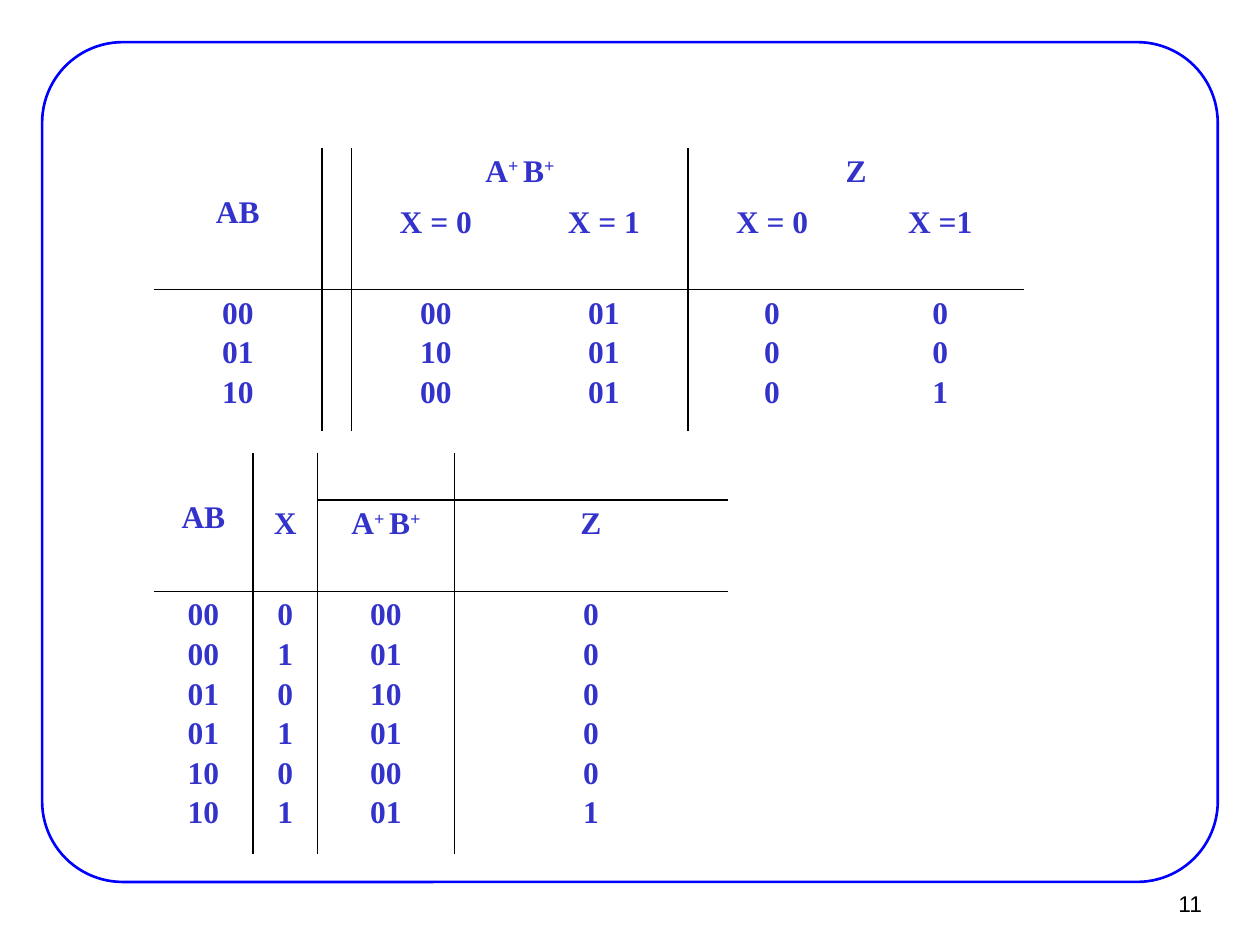
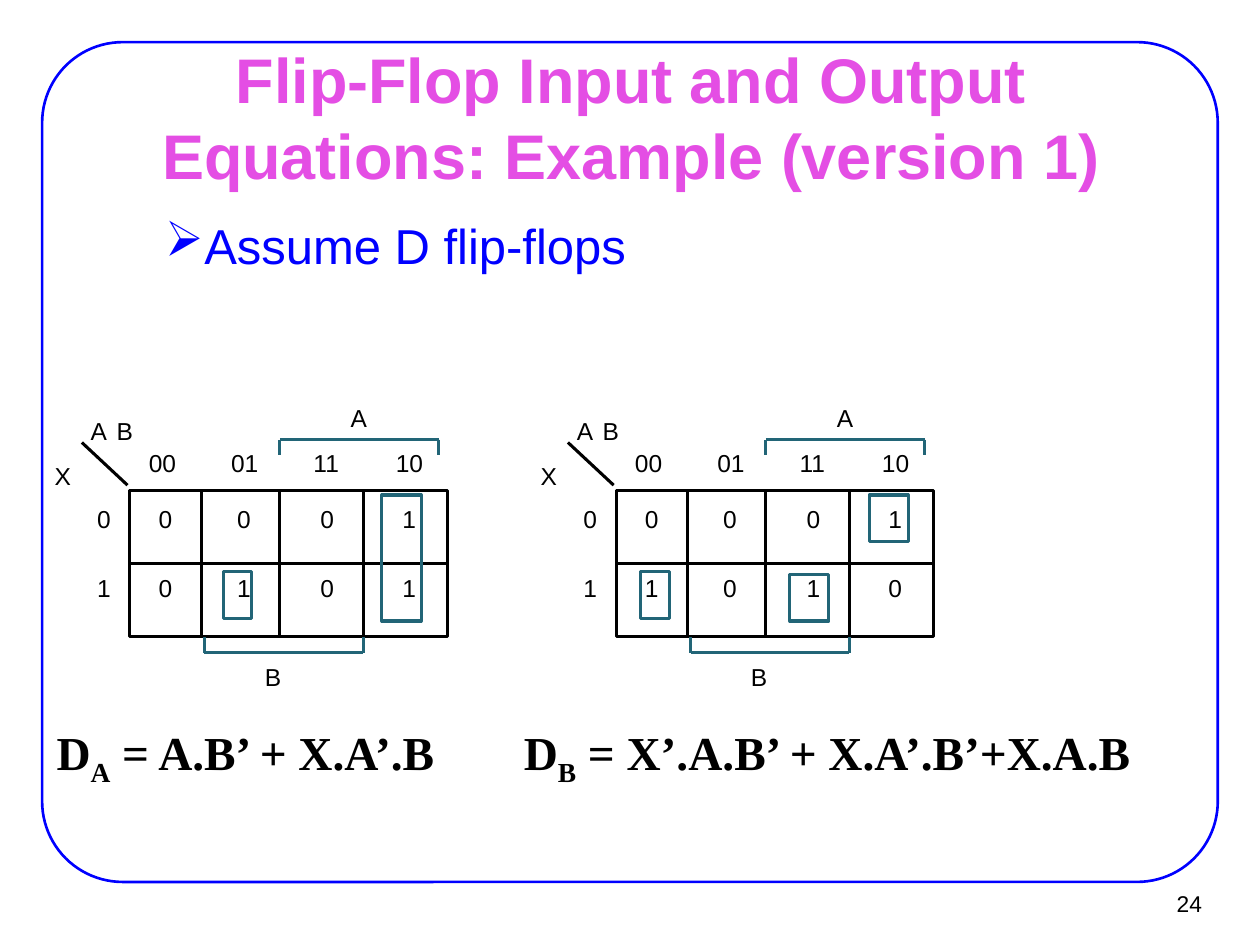
from dataclasses import dataclass
from typing import NamedTuple, Sequence, Union

from lxml import etree
from pptx import Presentation
from pptx import util as u
from pptx.dml.color import RGBColor
from pptx.enum import shapes, text
from pptx.oxml.ns import qn

COLORS = {
    "frame": "0000FF",
    "title": "E44EE4",
    "table": "3333CC",
    "ink": "000000",
    "group": "226577",
}
SANS, SERIF = "Arial", "Times New Roman"
LEFT, CENTER, RIGHT = text.PP_ALIGN.LEFT, text.PP_ALIGN.CENTER, text.PP_ALIGN.RIGHT
TOP, MIDDLE = text.MSO_ANCHOR.TOP, text.MSO_ANCHOR.MIDDLE
RECTANGLE, ROUNDED = shapes.MSO_SHAPE.RECTANGLE, shapes.MSO_SHAPE.ROUNDED_RECTANGLE


class Span(NamedTuple):
    text: str
    baseline: int = 0  # percent; positive raises, negative lowers


class Area(NamedTuple):
    left: float
    top: float
    width: float
    height: float

    def lengths(self):
        return [u.Cm(value) for value in self]


Line = Union[str, Sequence[Span]]


@dataclass
class StateTable:
    left: float
    top: float
    widths: list[float]
    heights: list[float]
    cells: dict[tuple[int, int], list[Line]]
    merges: list[tuple[int, int, int, int]]
    column_rules: set[int]
    row_rules: dict[int, int]  # row edge -> first column it crosses


@dataclass
class KarnaughMap:
    left: float
    values: list[str]
    groups: list[Area]  # left is measured from the grid
    equation: list[Span]
    equation_area: Area


NEXT_STATE = [Span("A"), Span("+ ", 30), Span("B"), Span("+", 30)]

STATE_TABLES = [
    StateTable(
        3.1, 2.98, [3.39, 0.6] + [3.39] * 4, [1.02, 1.79, 2.84],
        {
            (0, 0): ["AB"], (0, 2): [NEXT_STATE], (0, 4): ["Z"],
            (1, 2): ["X = 0"], (1, 3): ["X = 1"],
            (1, 4): ["X = 0"], (1, 5): ["X =1"],
            (2, 0): ["00", "01", "10"],
            (2, 2): ["00", "10", "00"], (2, 3): ["01", "01", "01"],
            (2, 4): ["0", "0", "0"], (2, 5): ["0", "0", "1"],
        },
        [(0, 0, 1, 0), (0, 2, 0, 3), (0, 4, 0, 5)], {1, 2, 4}, {2: 0},
    ),
    StateTable(
        3.1, 9.13, [2.0, 1.3, 2.76, 5.51], [0.95, 1.79, 5.1],
        {
            (0, 0): ["AB"], (1, 1): ["X"], (1, 2): [NEXT_STATE], (1, 3): ["Z"],
            (2, 0): ["00", "00", "01", "01", "10", "10"],
            (2, 1): ["0", "1", "0", "1", "0", "1"],
            (2, 2): ["00", "01", "10", "01", "00", "01"],
            (2, 3): ["0", "0", "0", "0", "0", "1"],
        },
        [(0, 0, 1, 0)], {1, 2, 3}, {1: 2, 2: 0},
    ),
]

MAPS = [
    KarnaughMap(
        2.62, ["0001", "0101"],
        [Area(5.08, 9.98, 0.79, 2.54), Area(1.88, 11.53, 0.58, 0.94)],
        [Span("D"), Span("A", -25), Span(" = A.B’ + X.A’.B")],
        Area(0.89, 14.45, 9.4, 1.4),
    ),
    KarnaughMap(
        12.42, ["0001", "1010"],
        [Area(5.1, 9.98, 0.79, 0.94), Area(0.5, 11.53, 0.58, 0.94),
         Area(3.5, 11.58, 0.79, 0.94)],
        [Span("D"), Span("B", -25), Span(" = X’.A.B’ + X.A’.B’+X.A.B")],
        Area(10.31, 14.45, 14.7, 1.4),
    ),
]

GRID_TOP, GRID_WIDTH, GRID_HEIGHT = 9.88, 6.4, 2.95
COLUMN_EDGES = [1.44, 3.02, 4.7]
VALUE_LEFTS = [0.58, 2.16, 3.84, 5.49]
VALUE_TOPS = [10.16, 11.56]
MAP_LABELS = [("A", -0.79, 8.38), ("B", -0.27, 8.38), ("A", 4.45, 8.13),
              ("B", 2.72, 13.34), ("X", -1.52, 9.3)]


def rgb(name: str) -> RGBColor:
    return RGBColor.from_string(COLORS[name])


def write_text(frame, lines: Sequence[Line], *, size: float, color: str = "ink",
               font: str = SANS, bold: bool = False, align=LEFT, gap: float = 0):
    """Fill a text frame, one paragraph a line; gap is the points between lines."""
    for index, line in enumerate(lines):
        para = frame.paragraphs[0] if index == 0 else frame.add_paragraph()
        para.alignment = align
        if index and gap:
            para.space_before = u.Pt(gap)
        for span in [Span(line)] if isinstance(line, str) else line:
            run = para.add_run()
            run.text = span.text
            run.font.size, run.font.name, run.font.bold = u.Pt(size), font, bold
            run.font.color.rgb = rgb(color)
            if span.baseline:
                run.font._element.set("baseline", str(span.baseline * 1000))


def add_text(page, area: Area, line: Line, *, inset: tuple[float, float] = (0.25, 0.13),
             anchor=TOP, wrap: bool = True, **style):
    box = page.shapes.add_textbox(*area.lengths())
    frame = box.text_frame
    frame.word_wrap, frame.vertical_anchor = wrap, anchor
    frame.margin_left = frame.margin_right = u.Cm(inset[0])
    frame.margin_top = frame.margin_bottom = u.Cm(inset[1])
    write_text(frame, [line], **style)
    return box


def add_outline(page, kind, area: Area, color: str, weight: float):
    shape = page.shapes.add_shape(kind, *area.lengths())
    shape.shadow.inherit = False
    shape.fill.background()
    shape.line.color.rgb, shape.line.width = rgb(color), u.Pt(weight)
    return shape


def add_line(page, start: tuple[float, float], end: tuple[float, float],
             color: str = "ink"):
    line = page.shapes.add_connector(
        shapes.MSO_CONNECTOR.STRAIGHT, *(u.Cm(value) for value in start + end))
    line.line.color.rgb, line.line.width = rgb(color), u.Pt(1.75)
    etree.SubElement(line._element.spPr, qn("a:effectLst"))
    return line


def add_bracket(page, left: float, right: float, tip: float, bar: float):
    corners = [(left, tip), (left, bar), (right, bar), (right, tip)]
    for start, end in zip(corners, corners[1:]):
        add_line(page, start, end, "group")


def add_page(deck, number: int):
    """Add a blank slide with the shared frame and page number."""
    page = deck.slides.add_slide(deck.slide_layouts[6])
    frame = add_outline(page, ROUNDED, Area(0.85, 0.85, 23.7, 16.93), "frame", 1.5)
    frame.adjustments[0] = 0.096
    add_text(page, Area(22.91, 17.75, 1.55, 0.94), str(number), size=13,
             align=RIGHT, anchor=MIDDLE, inset=(0.23, 0.1))
    return page


def set_borders(cell, ruled: dict[str, bool]):
    properties = cell._tc.get_or_add_tcPr()
    for side, visible in ruled.items():
        border = etree.SubElement(properties, qn(f"a:ln{side}"), w=str(u.Pt(1)))
        if visible:
            fill = etree.SubElement(border, qn("a:solidFill"))
            etree.SubElement(fill, qn("a:srgbClr"), val=COLORS["ink"])
        else:
            etree.SubElement(border, qn("a:noFill"))


def add_state_table(page, spec_table: StateTable):
    widths, heights = spec_table.widths, spec_table.heights
    area = Area(spec_table.left, spec_table.top, sum(widths), sum(heights))
    table = page.shapes.add_table(len(heights), len(widths), *area.lengths()).table
    table.first_row = table.horz_banding = False
    for column, width in zip(table.columns, widths):
        column.width = u.Cm(width)
    for row, height in zip(table.rows, heights):
        row.height = u.Cm(height)
    for top, left, bottom, right in spec_table.merges:
        table.cell(top, left).merge(table.cell(bottom, right))

    def row_ruled(edge: int, column: int) -> bool:
        return column >= spec_table.row_rules.get(edge, len(widths))

    for r in range(len(heights)):
        for c in range(len(widths)):
            cell = table.cell(r, c)
            below = r + (cell.span_height if cell.is_merge_origin else 1)
            after = c + (cell.span_width if cell.is_merge_origin else 1)
            set_borders(cell, {
                "L": c in spec_table.column_rules,
                "R": after in spec_table.column_rules,
                "T": row_ruled(r, c),
                "B": row_ruled(below, c),
            })
            cell.fill.background()
            lines = spec_table.cells.get((r, c))
            if lines:
                # A label spanning both header rows starts one text line lower.
                cell.margin_top = u.Cm(0.95 if below - r > 1 else 0.13)
                write_text(cell.text_frame, lines, size=18, color="table",
                           font=SERIF, bold=True, align=CENTER, gap=2.7)
            else:
                cell.margin_left = cell.margin_right = u.Cm(0)
                cell.margin_top = cell.margin_bottom = u.Cm(0)


def add_label(page, label: str, left: float, top: float):
    add_text(page, Area(left, top, 0.35 * len(label), 0.58), label, size=14,
             inset=(0, 0), wrap=False)


def add_map(page, kmap: KarnaughMap):
    left, bottom = kmap.left, GRID_TOP + GRID_HEIGHT
    grid = add_outline(page, RECTANGLE, Area(left, GRID_TOP, GRID_WIDTH, GRID_HEIGHT),
                       "ink", 1.75)
    middle = GRID_TOP + GRID_HEIGHT / 2
    divider = add_line(page, (left, middle), (left + GRID_WIDTH, middle))
    divider.begin_connect(grid, 1)
    divider.end_connect(grid, 3)
    for edge in COLUMN_EDGES:
        add_line(page, (left + edge, GRID_TOP), (left + edge, bottom))
    add_line(page, (left - 0.05, 9.78), (left - 0.97, 8.92))
    add_bracket(page, left + 1.5, left + 4.7, 12.85, 13.16)
    add_bracket(page, left + 3.02, left + 6.22, 9.17, 8.86)
    for group in kmap.groups:
        area = group._replace(left=left + group.left)
        add_outline(page, RECTANGLE, area, "group", 1.75)

    for label, offset, top in MAP_LABELS:
        add_label(page, label, left + offset, top)
    for index, code in enumerate(["00", "01", "11", "10"]):
        add_label(page, code, left + 0.38 + 1.66 * index, 9.04)
    for name, values, top in zip("01", kmap.values, VALUE_TOPS):
        add_label(page, name, left - 0.66, top)
        for value, offset in zip(values, VALUE_LEFTS):
            add_label(page, value, left + offset, top)
    add_text(page, kmap.equation_area, kmap.equation, size=27, font=SERIF, bold=True)


def add_bullet(page, area: Area, line: str):
    box = add_text(page, area, line, size=28, color="frame", inset=(0.28, 0.15))
    properties = box.text_frame.paragraphs[0]._p.get_or_add_pPr()
    properties.set("marL", str(u.Cm(2.06)))
    properties.set("indent", str(u.Cm(-0.79)))
    etree.SubElement(properties, qn("a:buChar"), char="➢")


def main():
    deck = Presentation()
    deck.slide_width, deck.slide_height = u.Cm(25.4), u.Cm(19.05)

    page = add_page(deck, 11)
    for state_table in STATE_TABLES:
        add_state_table(page, state_table)

    page = add_page(deck, 24)
    add_text(page, Area(1.93, 1.73, 21.59, 1.24),
             "Flip-Flop Input and Output Equations: Example (version 1)",
             size=36, color="title", bold=True, align=CENTER, anchor=MIDDLE,
             inset=(0.28, 0.15))
    for kmap in MAPS:
        add_map(page, kmap)
    add_bullet(page, Area(1.78, 4.2, 22.35, 2.24), "Assume D flip-flops")

    deck.save("out.pptx")


if __name__ == "__main__":
    main()
